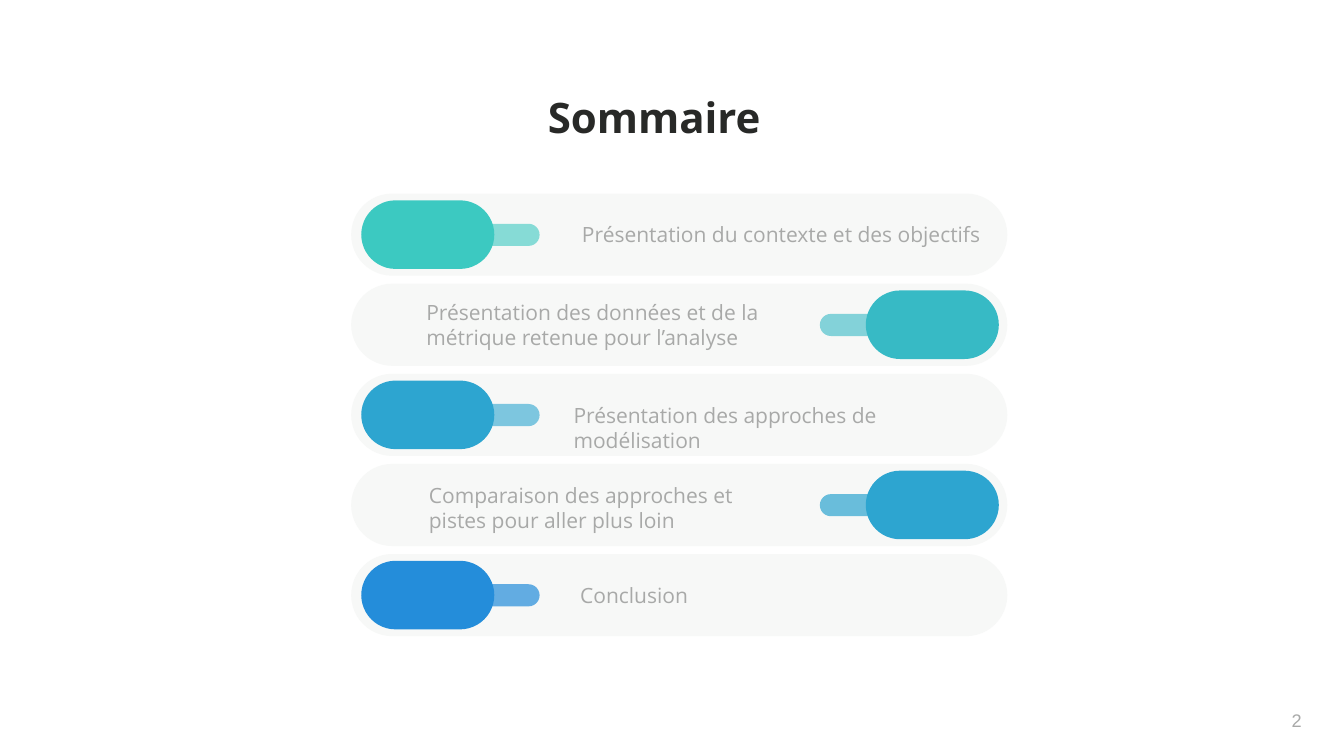
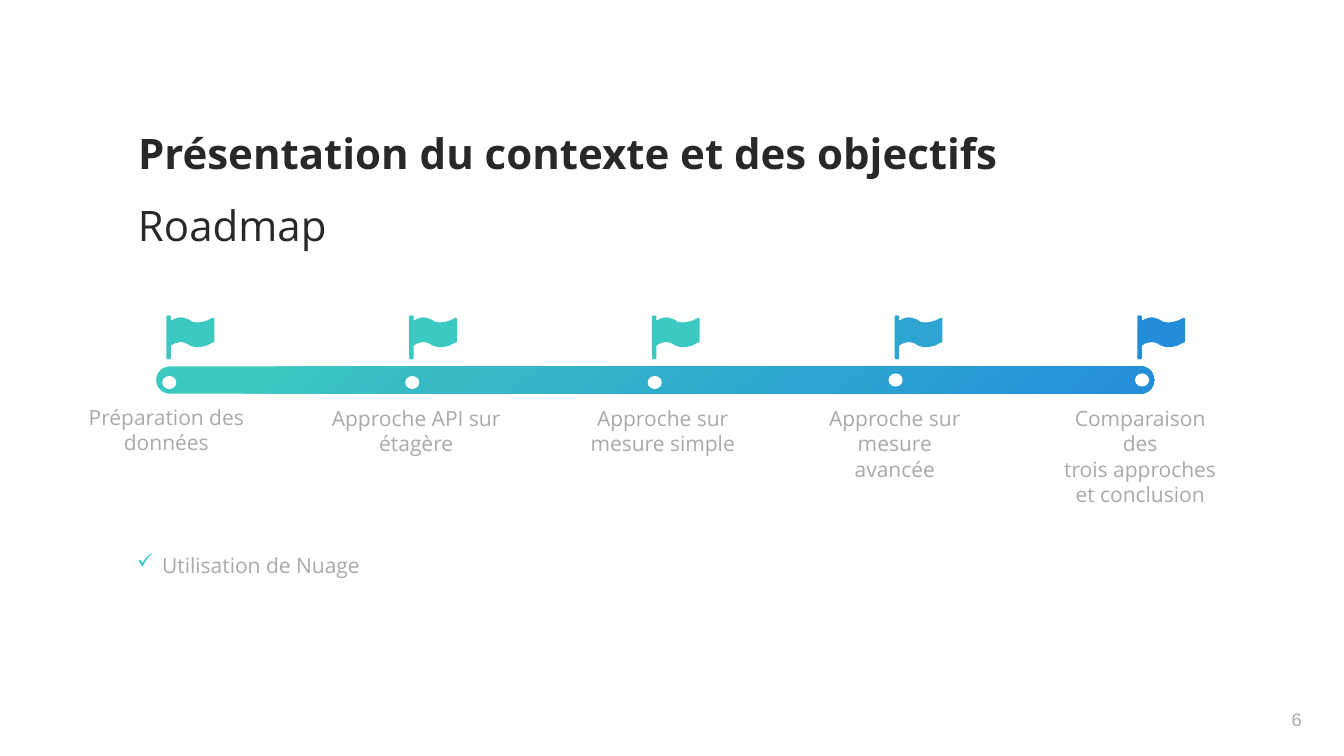
"""Builds a summary slide and a roadmap slide on a grid of 100 columns by 100 rows."""
from lxml.etree import SubElement
from pptx import Presentation
from pptx.dml.color import RGBColor
from pptx.enum.shapes import MSO_SHAPE as Shape
from pptx.enum.text import MSO_ANCHOR as Anchor, MSO_AUTO_SIZE as AutoSize, PP_ALIGN as Align
from pptx.oxml import parse_xml
from pptx.oxml.ns import nsdecls, qn
from pptx.util import Inches, Pt

rgb = RGBColor.from_string
INK, GREY, PALE, WHITE = "282927", "A8A9A8", "F7F8F7", "FFFFFF"
GREEN, TEAL, SKY, BLUE = "3CC9C1", "37BAC5", "2DA5D0", "248DDA"

deck = Presentation()
deck.slide_width, deck.slide_height = Inches(26.67), Inches(15)
COL, ROW = deck.slide_width / 100, deck.slide_height / 100
GRID = (COL, ROW, COL, ROW)


def draw(slide, kind, box, color, opacity=100):
    """Adds a plain filled shape; box is left, top, width, height in grid units."""
    shape = slide.shapes.add_shape(kind, *(int(v * unit) for v, unit in zip(box, GRID)))
    shape.shadow.inherit = False
    shape.line.fill.background()
    shape.fill.solid()
    shape.fill.fore_color.rgb = rgb(color)
    if kind == Shape.ROUNDED_RECTANGLE:
        shape.adjustments[0] = 0.5
    if opacity < 100:
        tint = shape.fill._xPr.find(qn("a:solidFill"))[0]
        SubElement(tint, qn("a:alpha")).set("val", str(opacity * 1000))
    return shape


def write(slide, box, lines, size=30, color=GREY, bold=None, align=Align.LEFT,
          font="Open Sans", inset=0.1):
    """Adds a text box with one paragraph for each line."""
    area = slide.shapes.add_textbox(*(int(v * unit) for v, unit in zip(box, GRID)))
    frame = area.text_frame
    frame.word_wrap = True
    frame.auto_size = AutoSize.SHAPE_TO_FIT_TEXT
    frame.margin_left = frame.margin_right = Inches(inset)
    frame.margin_top = frame.margin_bottom = Inches(inset)
    for index, line in enumerate(lines):
        paragraph = frame.add_paragraph() if index else frame.paragraphs[0]
        paragraph.alignment = align
        run = paragraph.add_run()
        run.text = line
        run.font.name, run.font.size, run.font.bold = font, Pt(size), bold
        run.font.color.rgb = rgb(color)
    return frame


blank = deck.slide_layouts[6]
summary, roadmap = deck.slides.add_slide(blank), deck.slides.add_slide(blank)

for slide, number, top, height in [(summary, "2", 93.4, 3.87), (roadmap, "6", 93, 4.27)]:
    page = write(slide, (94.86, top, 3.26, height), [number], 26, align=Align.CENTER, font="Arial")
    page.vertical_anchor = Anchor.MIDDLE

for slide, box, heading, bold, align in [
    (summary, (31.5, 11.4, 34.35, 8.07), "Sommaire", True, Align.CENTER),
    (roadmap, (9.9, 16.2, 82.45, 8.07), "Présentation du contexte et des objectifs", True, Align.LEFT),
    (roadmap, (9.9, 25.73, 40.27, 8.07), "Roadmap", None, Align.LEFT),
]:
    write(slide, box, [heading], 60, INK, bold, align)

chapters = [
    ("Présentation du contexte et des objectifs", GREEN, 60, (43.08, 28.93, 30.48, 4.13)),
    ("Présentation des données et de la métrique retenue pour l’analyse", TEAL, 60,
     (31.5, 39.2, 27.56, 7.47)),
    ("Présentation des approches de modélisation", SKY, 60, (42.45, 52.87, 27.56, 4.13)),
    ("Comparaison des approches et pistes pour aller plus loin", SKY, 70,
     (31.69, 63.4, 27.56, 7.47)),
    ("Conclusion", BLUE, 70, (42.94, 76.6, 27.56, 4.13)),
]
for index, (chapter, color, opacity, box) in enumerate(chapters):
    top = 25.6 + 11.92 * index
    stem_left, pill_left = [(33.03, 26.88), (61, 64.42)][index % 2]
    draw(summary, Shape.ROUNDED_RECTANGLE, (26.13, top, 48.82, 10.87), PALE)
    draw(summary, Shape.ROUNDED_RECTANGLE, (stem_left, top + 4, 7.12, 2.93), color, opacity)
    draw(summary, Shape.ROUNDED_RECTANGLE, (pill_left, top + 0.9, 9.9, 9.07), color)
    write(summary, box, [chapter], inset=0.06)

tools = write(roadmap, (9.82, 72.4, 68.2, 4.67), ["Utilisation de Nuage"])
indent = tools.paragraphs[0]._p.get_or_add_pPr()
indent.set("marL", str(Inches(0.5)))
indent.set("indent", str(Inches(-0.5)))
tick_color = SubElement(indent, qn("a:buClr"))
SubElement(tick_color, qn("a:srgbClr")).set("val", GREEN)
SubElement(indent, qn("a:buChar")).set("char", "✓")

track = draw(roadmap, Shape.ROUNDED_RECTANGLE, (11.62, 48.47, 74.25, 3.6), GREEN)
stops = "".join(
    f'<a:gs pos="{share * 1000}"><a:srgbClr val="{color}"/></a:gs>'
    for share, color in [(9, GREEN), (30, TEAL), (66, SKY), (100, BLUE)]
)
solid = track.fill._xPr.find(qn("a:solidFill"))
solid.getparent().replace(solid, parse_xml(
    f'<a:gradFill {nsdecls("a")}><a:gsLst>{stops}</a:gsLst>'
    f'<a:lin ang="{51 * 60000}" scaled="0"/></a:gradFill>'))

flag_curves = [
    [(94, 5)], [(93, 5), (92, 5), (91, 5)], [(77, 12), (63, 18), (50, 12)],
    [(49, 11), (48, 10), (47, 10)], [(45, 9), (43, 7), (41, 7)],
    [(35, 4), (28, 4), (21, 5)], [(17, 6), (13, 8), (9, 10)], [(9, 3)],
    [(9, 2), (8, 0), (6, 0)], [(3, 0)], [(2, 0), (0, 2), (0, 3)], [(0, 84)],
    [(0, 86), (2, 87), (3, 87)], [(6, 87)], [(8, 87), (9, 86), (9, 84)], [(9, 60)],
    [(13, 57), (17, 55), (22, 54)], [(28, 53), (34, 53), (39, 55)],
    [(40, 56), (42, 57), (43, 58)], [(45, 58), (46, 59), (47, 60)],
    [(52, 62), (57, 63), (62, 63)], [(74, 63), (86, 57), (94, 53)],
    [(95, 53), (95, 52), (95, 51)], [(95, 8)], [(95, 7), (95, 6), (94, 5)],
]
outline = []
for curve in flag_curves:
    if len(curve) == 1:
        outline += curve
        continue
    corners = [outline[-1]] + curve
    for t in (0.25, 0.5, 0.75, 1):
        weights = ((1 - t) ** 3, 3 * t * (1 - t) ** 2, 3 * t * t * (1 - t), t ** 3)
        outline.append(tuple(sum(w * c[axis] for w, c in zip(weights, corners)) for axis in (0, 1)))

steps = [
    (["Préparation des données"], GREEN, (12.07, 49.73), (5.55, 52.87, 13.65, 8.07)),
    (["Approche API sur étagère"], GREEN, (30.15, 49.73), (23.66, 52.93, 14.62, 10.33)),
    (["Approche sur", "mesure simple"], GREEN, (48.19, 49.73), (42.71, 52.93, 13.2, 10.33)),
    (["Approche sur mesure avancée"], SKY, (66.11, 49.4), (60.3, 53, 12.56, 8.07)),
    (["Comparaison des", "trois approches et conclusion"], BLUE, (84.45, 49.4),
     (78.18, 53, 13.31, 13.67)),
]
for index, (label, color, dot, box) in enumerate(steps):
    pen = roadmap.shapes.build_freeform(*outline[0], scale=Inches(0.01))
    pen.add_line_segments(outline[1:], close=True)
    flag = pen.convert_to_shape(int((12.38 + 18.06 * index) * COL), int(41.73 * ROW))
    flag.left, flag.top = int((12.38 + 18.06 * index) * COL), int(41.73 * ROW)
    flag.shadow.inherit = False
    flag.line.fill.background()
    flag.fill.solid()
    flag.fill.fore_color.rgb = rgb(color)
    draw(roadmap, Shape.OVAL, (*dot, 1.05, 1.73), WHITE)
    write(roadmap, box, label, align=Align.CENTER)

deck.save("out.pptx")
